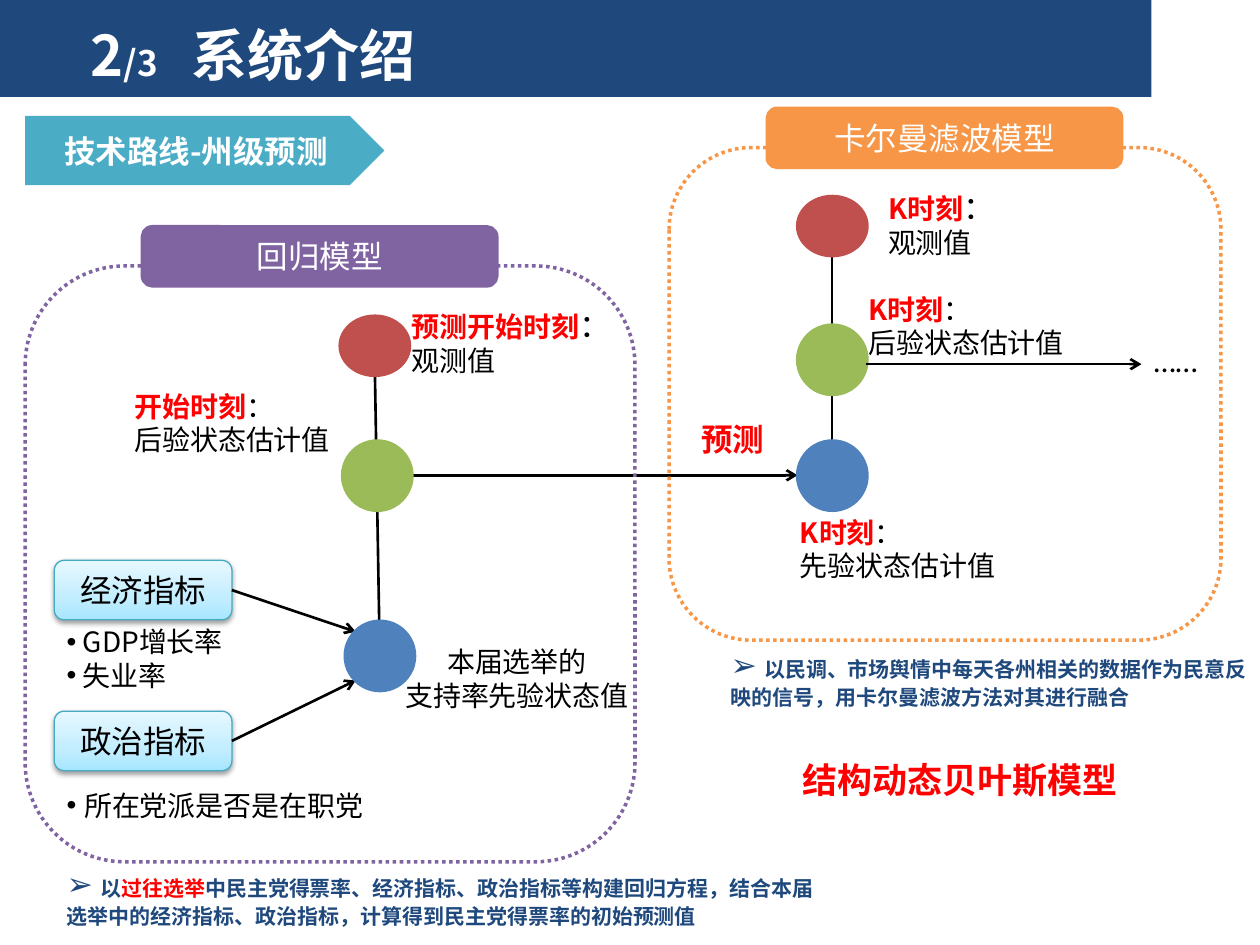
from dataclasses import dataclass

from lxml.etree import SubElement
from pptx import Presentation
from pptx.dml.color import RGBColor
from pptx.enum.dml import MSO_LINE
from pptx.enum.shapes import MSO_CONNECTOR, MSO_SHAPE as SHAPE
from pptx.enum.text import MSO_ANCHOR as ANCHOR, PP_ALIGN as ALIGN
from pptx.oxml.ns import qn
from pptx.util import Pt


@dataclass(frozen=True)
class Theme:
    cjk: str = "Noto Sans CJK SC"
    latin: str = "Calibri"
    navy: str = "1F497D"
    teal: str = "4BACC6"
    blue: str = "4F81BD"
    green: str = "9BBB59"
    brick: str = "C0504D"
    purple: str = "8064A2"
    orange: str = "F79646"
    red: str = "FF0000"
    black: str = "000000"
    white: str = "FFFFFF"
    button_edge: str = "46AAC5"
    button_stops: tuple = ((0, "A7E6FF"), (35, "C1EDFF"), (100, "E7F8FF"))
    title: int = 32
    claim: int = 20
    head: int = 18
    body: int = 16
    note: int = 12


T = Theme()


def rgb(color):
    return RGBColor.from_string(color)


def run(text, size=T.body, color=T.black, bold=False, font=T.cjk):
    return text, size, color, bold, font


def write(tf, paragraphs, align=ALIGN.LEFT, anchor=ANCHOR.TOP, bullet=None, hang=0, tab=None):
    tf.word_wrap = True
    tf.vertical_anchor = anchor
    for i, runs in enumerate(paragraphs):
        p = tf.add_paragraph() if i else tf.paragraphs[0]
        p.alignment = align
        pPr = p._p.get_or_add_pPr()
        if bullet:
            pPr.set("marL", str(Pt(hang)))
            pPr.set("indent", str(Pt(-hang)))
            SubElement(pPr, qn("a:buFont"), typeface="Arial")
            SubElement(pPr, qn("a:buChar"), char=bullet)
        if tab:
            tabs = SubElement(pPr, qn("a:tabLst"))
            SubElement(tabs, qn("a:tab"), pos=str(Pt(tab)), algn="l")
        for text, size, color, bold, font in runs:
            r = p.add_run()
            r.text = text
            r.font.size, r.font.bold, r.font.name = Pt(size), bold, font
            r.font.color.rgb = rgb(color)
            SubElement(r._r.get_or_add_rPr(), qn("a:ea"), typeface=font)


def text_box(slide, box, paragraphs, **options):
    s = slide.shapes.add_textbox(*map(Pt, box))
    write(s.text_frame, paragraphs, **options)


def shape(slide, kind, box, fill=None, line=None, width=2, runs=None):
    s = slide.shapes.add_shape(kind, *map(Pt, box))
    s.shadow.inherit = False
    if fill:
        s.fill.solid()
        s.fill.fore_color.rgb = rgb(fill)
    else:
        s.fill.background()
    if line:
        s.line.color.rgb = rgb(line)
        s.line.width = Pt(width)
    else:
        s.line.fill.background()
    if runs:
        write(s.text_frame, [runs], align=ALIGN.CENTER, anchor=ANCHOR.MIDDLE)
    return s


def node(slide, left, top, color, height=39.6):
    shape(slide, SHAPE.OVAL, (left, top, 39.6, height), color, color)


def button(slide, top, text):
    s = shape(slide, SHAPE.ROUNDED_RECTANGLE, (31, top, 101.5, 34), line=T.button_edge,
              width=0.75, runs=[run(text, T.head)])
    s.fill.gradient()
    s.fill.gradient_angle = 90
    spPr = s._element.spPr
    stops = spPr.find(qn("a:gradFill")).find(qn("a:gsLst"))
    stops.clear()
    for percent, color in T.button_stops:
        gs = SubElement(stops, qn("a:gs"), pos=str(percent * 1000))
        SubElement(gs, qn("a:srgbClr"), val=color)
    shadow = SubElement(spPr.find(qn("a:effectLst")), qn("a:outerShdw"), blurRad=str(Pt(3.1)),
                        dist=str(Pt(1.6)), dir="5400000", rotWithShape="0")
    shade = SubElement(shadow, qn("a:srgbClr"), val=T.black)
    SubElement(shade, qn("a:alpha"), val="38000")
    return s


def connector(slide, start, end, arrow=False, source=None):
    c = slide.shapes.add_connector(MSO_CONNECTOR.STRAIGHT, *map(Pt, (*start, *end)))
    if source:
        c.begin_connect(source, 3)
    c.line.color.rgb = rgb(T.black)
    c.line.width = Pt(1.5)
    if arrow:
        SubElement(c.line._get_or_add_ln(), qn("a:tailEnd"), type="arrow")
    SubElement(c._element.spPr, qn("a:effectLst"))


def panel(slide, box, tab_left, tab_top, color, text):
    s = shape(slide, SHAPE.ROUNDED_RECTANGLE, box, line=color)
    s.line.dash_style = MSO_LINE.ROUND_DOT
    shape(slide, SHAPE.ROUNDED_RECTANGLE, (tab_left, tab_top, 202.5, 33.75), color, color,
          runs=[run(text, T.head, T.white)])


def state_label(slide, left, top, moment, state, colon=T.body, colon_font=T.cjk):
    text_box(slide, (left, top, 157.5, 46),
             [[run(moment, color=T.red, bold=True), run("：", colon, font=colon_font)],
              [run(state)]])


def note(slide, box, runs):
    lead = run(" ", T.head, T.navy, font=T.latin)
    text_box(slide, box, [[lead, *(run(t, T.note, c, True) for t, c in runs)]], bullet="➢")


def header(slide):
    shape(slide, SHAPE.RECTANGLE, (0, 0, 658, 55.4), T.navy)
    text_box(slide, (44.6, 5.8, 613.4, 50.4),
             [[run("2", T.title, T.white, True), run("/3\t", T.claim, T.white, True),
               run("系统介绍", T.title, T.white, True)]], anchor=ANCHOR.MIDDLE, tab=58)
    shape(slide, SHAPE.PENTAGON, (14.4, 66.2, 205.2, 39.6), T.teal,
          runs=[run("技术路线-州级预测", T.head, T.white, True)])


def regression(slide):
    economy = button(slide, 320.2, "经济指标")
    politics = button(slide, 406.4, "政治指标")
    connector(slide, (132.5, 337.2), (203.3, 361), True, economy)
    connector(slide, (132.5, 423.4), (203.3, 388.8), True, politics)
    connector(slide, (213.8, 187.2), (216.7, 355))
    connector(slide, (235.4, 271.6), (455.8, 271.6), True)
    node(slide, 197.3, 355, T.blue)
    node(slide, 195.8, 252, T.green)
    node(slide, 194.4, 180.7, T.brick, 33.8)
    text_box(slide, (31, 353.5, 124, 46), [[run("GDP增长率")], [run("失业率")]],
             bullet="•", hang=9.3)
    text_box(slide, (31, 447, 202.5, 29), [[run("所在党派是否是在职党")]],
             bullet="•", hang=10)
    text_box(slide, (216.7, 365, 157.5, 46), [[run("本届选举的")], [run("支持率先验状态值")]],
             align=ALIGN.CENTER)
    state_label(slide, 228.2, 171.4, "预测开始时刻", "观测值", T.head)
    state_label(slide, 69.8, 218.9, "开始时刻", "后验状态估计值")
    panel(slide, (14.4, 152, 348.5, 340.5), 81.4, 129.6, T.purple, "回归模型")


def kalman(slide):
    connector(slide, (475.4, 146), (475.4, 252))
    node(slide, 455.8, 112.3, T.brick, 33.8)
    node(slide, 455.8, 185.8, T.green)
    node(slide, 455.8, 252, T.blue)
    connector(slide, (494.8, 208.1), (652.3, 208.1), True)
    state_label(slide, 500.4, 103.7, "K时刻", "观测值", T.head)
    state_label(slide, 489.2, 163.4, "K时刻", "后验状态估计值", colon_font=T.latin)
    state_label(slide, 450, 290.9, "K时刻", "先验状态估计值")
    text_box(slide, (393.8, 236.2, 67.7, 29), [[run("预测", T.head, T.red, True)]])
    text_box(slide, (652.3, 191.5, 50.4, 29), [[run("……", T.head, font=T.latin)]])
    panel(slide, (382.3, 84.3, 315.4, 281.5), 438.5, 61.9, T.orange, "卡尔曼滤波模型")


def conclusions(slide):
    note(slide, (31, 491, 444.2, 44),
         [("以", T.navy), ("过往选举", T.red),
          ("中民主党得票率、经济指标、政治指标等构建回归方程，结合本届选举中的经济指标、"
           "政治指标，计算得到民主党得票率的初始预测值", T.navy)])
    note(slide, (410.4, 365.8, 309.6, 44),
         [("以民调、市场舆情中每天各州相关的数据作为民意反映的信号，"
           "用卡尔曼滤波方法对其进行融合", T.navy)])
    text_box(slide, (399.6, 429.8, 298, 31.7),
             [[run("结构动态贝叶斯模型", T.claim, T.red, True)]], align=ALIGN.CENTER)


def main():
    prs = Presentation()
    prs.slide_width, prs.slide_height = Pt(720), Pt(540)
    slide = prs.slides.add_slide(prs.slide_layouts[6])
    header(slide)
    regression(slide)
    kalman(slide)
    conclusions(slide)
    prs.save("out.pptx")


if __name__ == "__main__":
    main()
